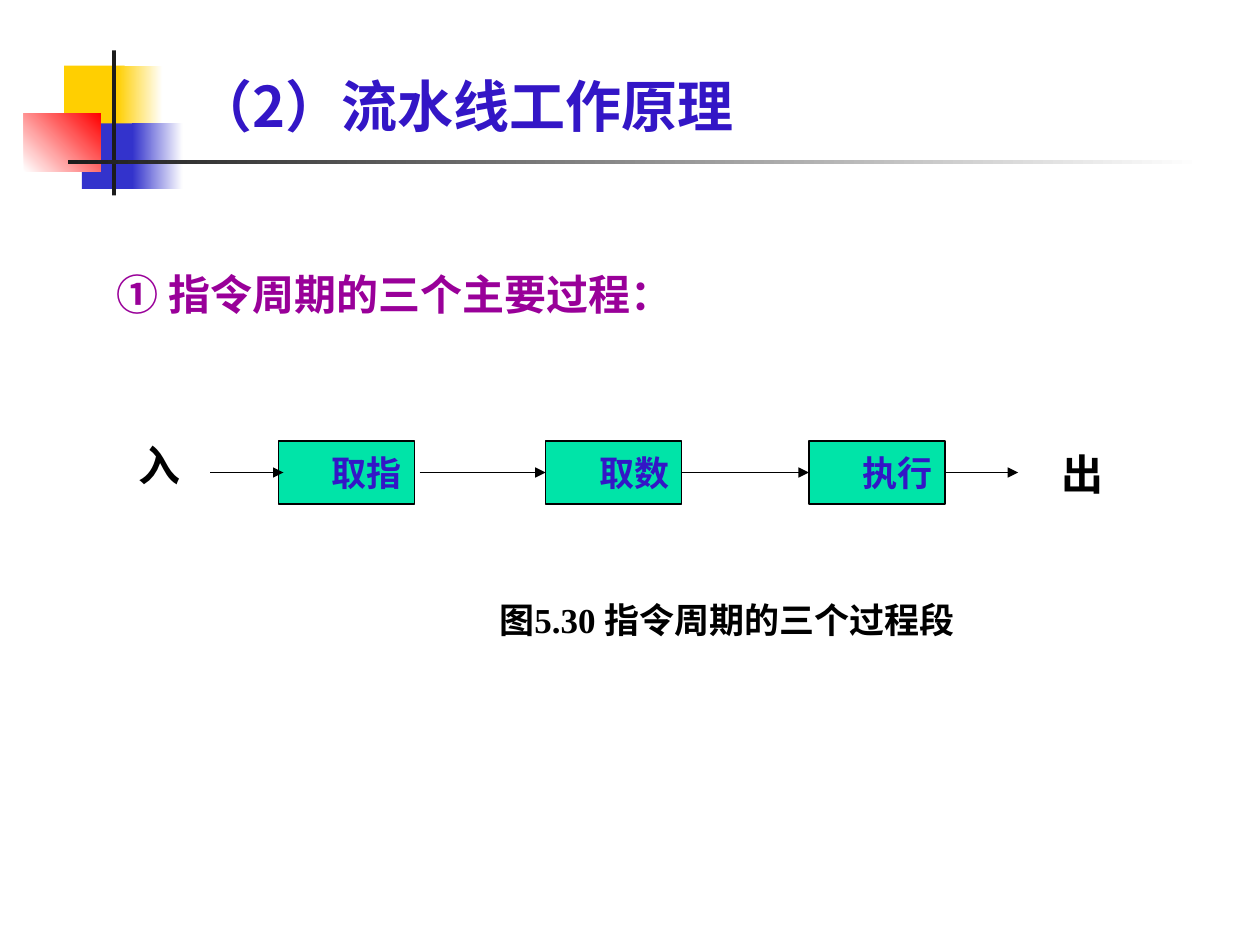
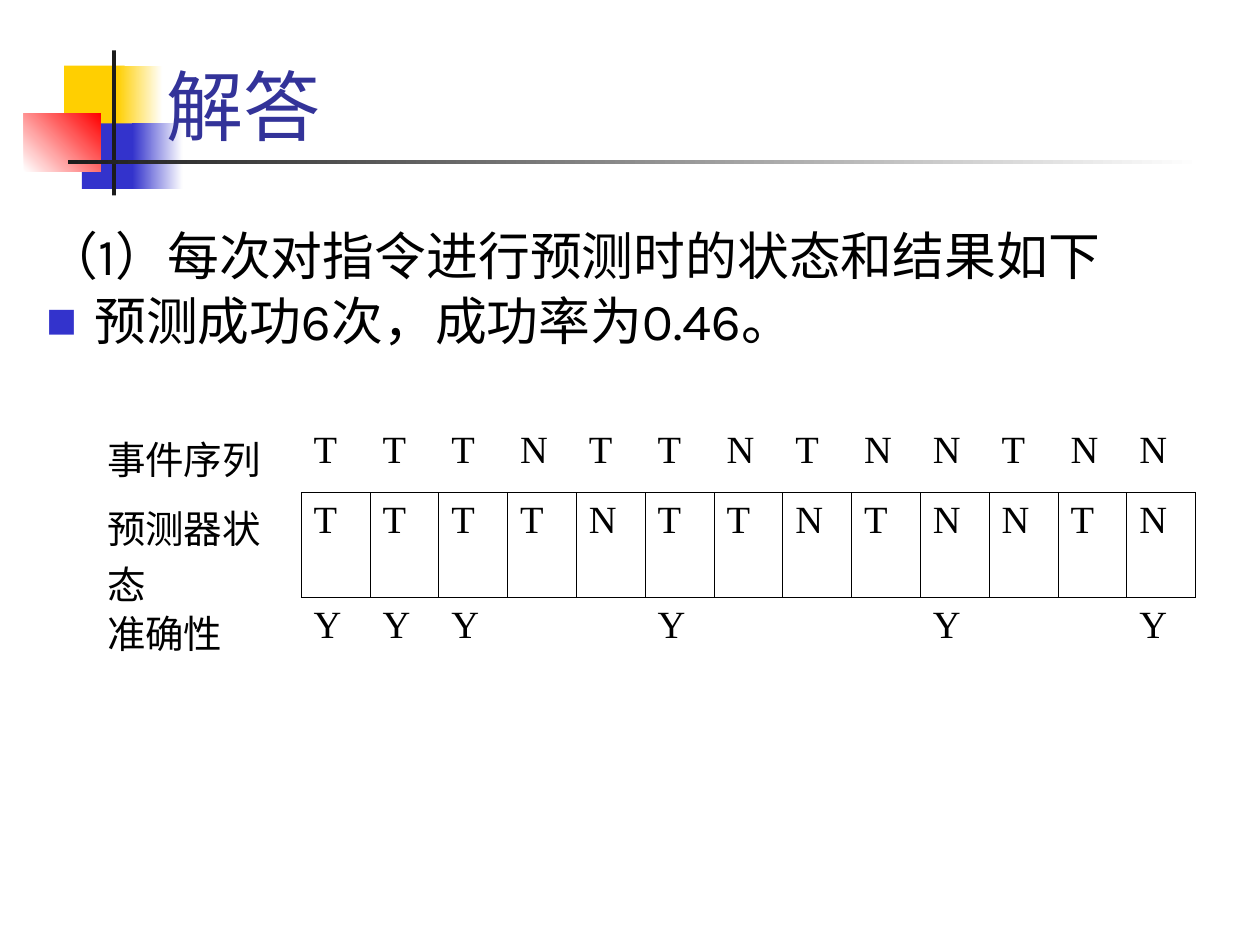
from dataclasses import dataclass
from typing import Optional

from lxml import etree
from pptx import Presentation
from pptx.dml.color import RGBColor
from pptx.enum.shapes import MSO_CONNECTOR, MSO_SHAPE
from pptx.enum.text import MSO_ANCHOR, PP_ALIGN
from pptx.oxml.ns import qn
from pptx.util import Inches, Pt

BLACK = RGBColor(0, 0, 0)
WHITE = RGBColor(0xFF, 0xFF, 0xFF)
GOLD = RGBColor(0xFF, 0xCF, 0x01)
BLUE = RGBColor(0x33, 0x33, 0xCC)
RED = RGBColor(0xFF, 0, 0)
DARK = RGBColor(0x1C, 0x1C, 0x1C)
NAVY = RGBColor(0x33, 0x33, 0x99)
INDIGO = RGBColor(0x33, 0x16, 0xC6)
PURPLE = RGBColor(0x99, 0, 0x99)
MINT = RGBColor(0, 0xE4, 0xA8)

HAN = "Noto Sans CJK SC"
SERIF = "Times New Roman"
SANS = "Karla"

RECT = MSO_SHAPE.RECTANGLE
STRAIGHT = MSO_CONNECTOR.STRAIGHT
LEFT, RIGHT = PP_ALIGN.LEFT, PP_ALIGN.RIGHT
TOP, MIDDLE, BOTTOM = MSO_ANCHOR.TOP, MSO_ANCHOR.MIDDLE, MSO_ANCHOR.BOTTOM
SIDE_LEFT, SIDE_RIGHT = 1, 3
NO_GRID = "{2D5ABB26-0587-4C30-8999-92F81FD0307C}"


@dataclass(frozen=True)
class Block:
    left: float
    top: float
    width: float
    height: float
    color: RGBColor
    fade: Optional[RGBColor] = None
    angle: int = 0


@dataclass(frozen=True)
class Label:
    text: str
    left: float
    top: float
    width: float
    height: float
    style: dict
    align: PP_ALIGN = LEFT
    anchor: MSO_ANCHOR = TOP


MOTIF = [
    Block(0.51, 0.52, 0.48, 0.52, GOLD),
    Block(0.93, 0.52, 0.36, 0.52, GOLD, WHITE),
    Block(0.65, 0.98, 0.46, 0.52, BLUE),
    Block(1.05, 0.98, 0.4, 0.52, BLUE, WHITE),
    Block(0.19, 0.9, 0.61, 0.46, WHITE, RED, 45),
    Block(0.89, 0.4, 0.03, 1.15, DARK),
    Block(0.54, 1.27, 9, 0.03, DARK, WHITE),
]


def face(name: str, size: float, color: RGBColor, bold: bool = False) -> dict:
    return {"name": name, "size": Pt(size), "color": color, "bold": bold}


def add_run(para, text: str, style: dict) -> None:
    run = para.add_run()
    run.text = text
    for key, value in style.items():
        if key == "color":
            run.font.color.rgb = value
        else:
            setattr(run.font, key, value)
    east = etree.SubElement(run.font._element, qn("a:ea"))
    east.set("typeface", HAN)


def add_block(slide, block: Block):
    shape = slide.shapes.add_shape(
        RECT, *map(Inches, (block.left, block.top, block.width, block.height)))
    shape.shadow.inherit = False
    shape.line.fill.background()
    if block.fade is None:
        shape.fill.solid()
        shape.fill.fore_color.rgb = block.color
    else:
        shape.fill.gradient()
        shape.fill.gradient_angle = block.angle
        for stop, color in zip(shape.fill.gradient_stops, (block.color, block.fade)):
            stop.color.rgb = color
    return shape


def add_label(slide, label: Label):
    box = slide.shapes.add_textbox(
        *map(Inches, (label.left, label.top, label.width, label.height)))
    frame = box.text_frame
    frame.word_wrap = True
    frame.vertical_anchor = label.anchor
    para = frame.paragraphs[0]
    para.alignment = label.align
    add_run(para, label.text, label.style)
    return frame


def add_stage(slide, left: float, text: str):
    stage = add_block(slide, Block(left, 3.5, 1.08, 0.5, MINT))
    stage.line.color.rgb = BLACK
    stage.line.width = Pt(0.75)
    frame = stage.text_frame
    frame.vertical_anchor = MIDDLE
    frame.paragraphs[0].alignment = RIGHT
    add_run(frame.paragraphs[0], text, face(SERIF, 20, INDIGO, True))
    return stage


def add_arrow(slide, start: float, end: float, source=None, target=None) -> None:
    y = Inches(3.75)
    arrow = slide.shapes.add_connector(STRAIGHT, Inches(start), y, Inches(end), y)
    if source is not None:
        arrow.begin_connect(source, SIDE_RIGHT)
    if target is not None:
        arrow.end_connect(target, SIDE_LEFT)
    arrow.line.color.rgb = BLACK
    arrow.line.width = Pt(0.75)
    etree.SubElement(arrow.line._get_or_add_ln(), qn("a:tailEnd"), type="triangle")
    etree.SubElement(arrow._element.spPr, qn("a:effectLst"))


def set_bullet(para) -> None:
    props = para._p.get_or_add_pPr()
    color = etree.SubElement(props, qn("a:buClr"))
    etree.SubElement(color, qn("a:srgbClr"), val=str(BLUE))
    etree.SubElement(props, qn("a:buSzPct"), val="60000")
    etree.SubElement(props, qn("a:buFont"), typeface=HAN)
    etree.SubElement(props, qn("a:buChar"), char="■")


def set_edges(cell, sides: str) -> None:
    """Draw the cell's borders; sides holds letters out of L, R, T and B."""
    props = cell._tc.get_or_add_tcPr()
    for index, side in enumerate(s for s in "LRTB" if s in sides):
        line = etree.Element(qn(f"a:ln{side}"), w=str(Pt(0.45)))
        fill = etree.SubElement(line, qn("a:solidFill"))
        etree.SubElement(fill, qn("a:srgbClr"), val=str(BLACK))
        props.insert(index, line)


def edges(row: int, col: int) -> str:
    """Name the sides that touch the boxed cells of the middle row."""
    if col == 0:
        return "R" if row == 1 else ""
    return ("B", "LRTB", "T")[row]


def add_grid(slide) -> None:
    rows = [
        ("事件序列", "TTTNTTNTNNTNN"),
        ("预测器状态", "TTTTNTTNTNNTN"),
        ("准确性", "YYY  Y   Y  Y"),
    ]
    count = len(rows[0][1])
    head, rest = 1.64, 7.1
    frame = slide.shapes.add_table(
        len(rows), count + 1, *map(Inches, (0.75, 3.36, head + rest, 2.66)))
    table = frame.table
    table.first_row = table.horz_banding = False
    table._tbl.tblPr.find(qn("a:tableStyleId")).text = NO_GRID
    for col, column in enumerate(table.columns):
        column.width = Inches(rest / count if col else head)
    for row, height in zip(table.rows, (0.55, 0.83, 1.28)):
        row.height = Inches(height)
    style = face(SERIF, 22, BLACK)
    for r, (name, marks) in enumerate(rows):
        for c, text in enumerate([name, *marks]):
            cell = table.cell(r, c)
            cell.fill.background()
            set_edges(cell, edges(r, c))
            if text.strip():
                add_run(cell.text_frame.paragraphs[0], text, style)


def add_points(slide) -> None:
    style = face(SANS, 29.6, BLACK)
    frame = add_label(slide, Label(
        "（1）每次对指令进行预测时的状态和结果如下", 0.27, 1.78, 9.5, 1.61, style))
    point = frame.add_paragraph()
    add_run(point, "预测成功6次，成功率为0.46。", style)
    for para in frame.paragraphs:
        para.line_spacing = 0.9
        para.space_before = Pt(5.4)
        props = para._p.get_or_add_pPr()
        props.set("marL", str(Inches(0.38)))
        props.set("indent", str(-Inches(0.38)))
    set_bullet(point)


def new_slide(deck, title: Label):
    slide = deck.slides.add_slide(deck.slide_layouts[6])
    for block in MOTIF:
        add_block(slide, block)
    add_label(slide, title)
    return slide


def build_stages(deck) -> None:
    slide = new_slide(deck, Label("（2）流水线工作原理", 1.46, 0.52, 8.19, 0.64,
                                  face(HAN, 32, INDIGO, True)))
    add_label(slide, Label("① 指令周期的三个主要过程：", 0.83, 2.08, 9, 0.9,
                           face(HAN, 24, PURPLE, True)))

    bold = face(HAN, 20, BLACK, True)
    note = add_label(slide, Label("图", 2.5, 4.75, 5.08, 0.51, bold, RIGHT))
    for side in ("left", "top", "right", "bottom"):
        setattr(note, f"margin_{side}", 0)
    add_run(note.paragraphs[0], "5.30 ", {**bold, "name": SERIF})
    add_run(note.paragraphs[0], "指令周期的三个过程段", bold)

    fetch, load, execute = [
        add_stage(slide, left, text)
        for left, text in ((2.21, "取指"), (4.33, "取数"), (6.42, "执行"))]
    add_arrow(slide, 1.67, 2.25)
    add_arrow(slide, 3.33, 4.33, target=load)
    add_arrow(slide, 5.41, 6.42, load, execute)
    add_arrow(slide, 7.5, 8.08, execute)

    for text, left, top in (("入", 0.9, 3.44), ("出", 8.23, 3.51)):
        add_label(slide, Label(text, left, top, 0.63, 0.5,
                               face(SANS, 24, BLACK, True), RIGHT))


def build_answer(deck) -> None:
    slide = new_slide(deck, Label("解答", 1.22, 0, 8.52, 1.25,
                                  face(SANS, 44, NAVY), anchor=BOTTOM))
    add_points(slide)
    add_grid(slide)


def main() -> None:
    deck = Presentation()
    deck.slide_width, deck.slide_height = Inches(10), Inches(7.5)
    build_stages(deck)
    build_answer(deck)
    deck.save("out.pptx")


if __name__ == "__main__":
    main()
